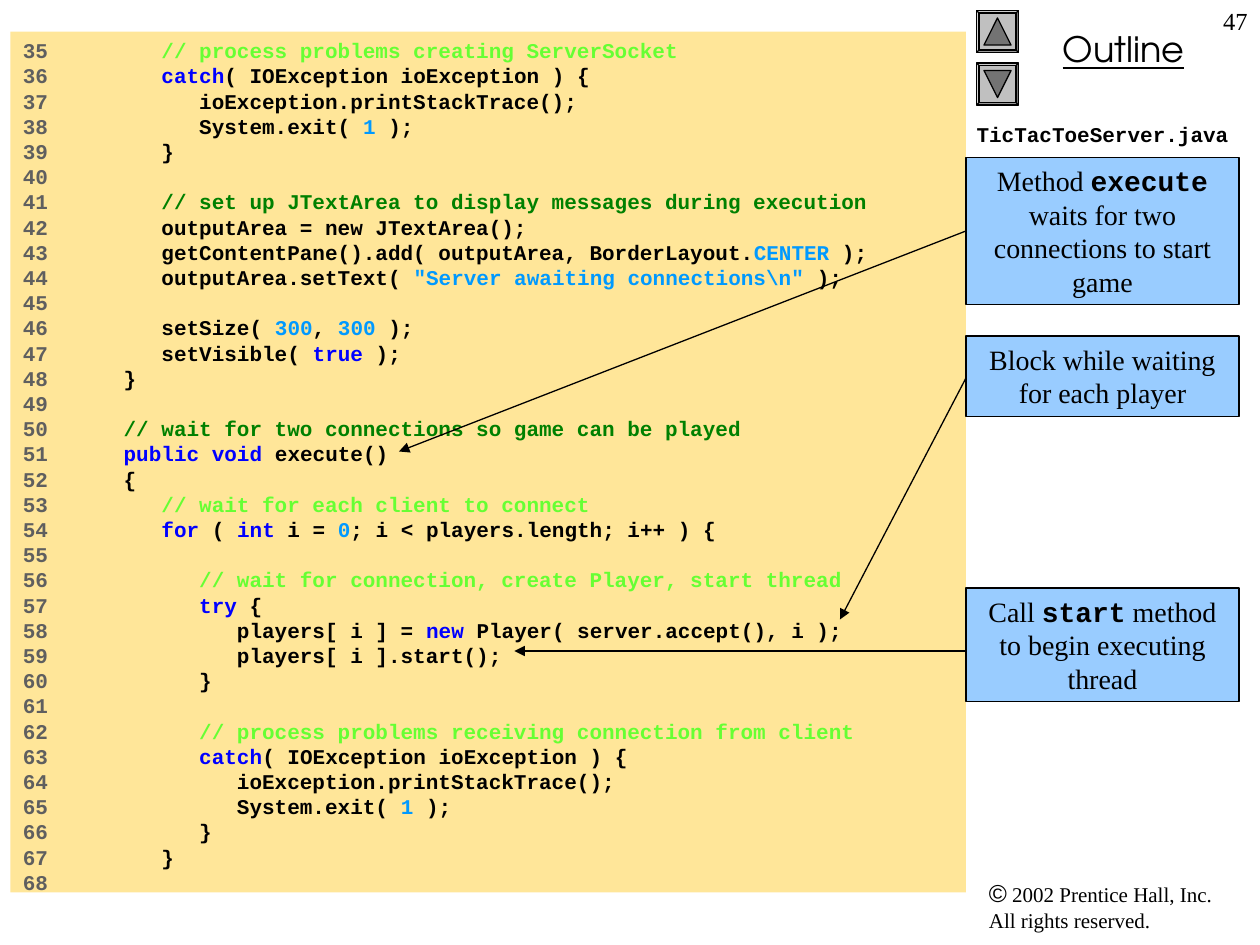
"""Build a code walkthrough slide with callouts for a Tic-Tac-Toe server."""
from lxml import etree
from pptx import Presentation
from pptx.dml.color import RGBColor
from pptx.enum import shapes, text
from pptx.oxml.ns import qn
from pptx.util import Pt

THEME = {
    "fonts": {"serif": "Times New Roman", "code": "Courier New",
              "sans": "Arial", "heading": "TeX Gyre Adventor"},
    "sizes": {"code": 12, "file": 12, "heading": 20, "callout": 16,
              "number": 14, "symbol": 14, "legal": 12},
    "colors": {"plain": "000000", "number": "5F5F5F", "keyword": "0000FF",
               "literal": "0099FF", "comment": "008000", "note": "66FF33",
               "panel": "FFE699", "callout": "99CCFF", "button": "C0C0C0",
               "arrow": "737373"},
    "code_pitch": 14.4,
    "line_width": 0.75,
}

FIRST_LINE = 35
CODE = [
    [("note", "      // process problems creating ServerSocket")],
    [("keyword", "      catch"), ("plain", "( IOException ioException ) {")],
    [("plain", "         ioException.printStackTrace();")],
    [("plain", "         System.exit( "), ("literal", "1"), ("plain", " );")],
    [("plain", "      }")],
    [],
    [("comment", "      // set up JTextArea to display messages during execution")],
    [("plain", "      outputArea = new JTextArea();")],
    [("plain", "      getContentPane().add( outputArea, BorderLayout."),
     ("literal", "CENTER"), ("plain", " );")],
    [("plain", "      outputArea.setText( "),
     ("literal", r'"Server awaiting connections\n"'), ("plain", " );")],
    [],
    [("plain", "      setSize( "), ("literal", "300"), ("plain", ", "),
     ("literal", "300"), ("plain", " );")],
    [("plain", "      setVisible( "), ("keyword", "true"), ("plain", " );")],
    [("plain", "   }")],
    [],
    [("comment", "   // wait for two connections so game can be played")],
    [("keyword", "   public void "), ("plain", "execute()")],
    [("plain", "   {")],
    [("note", "      // wait for each client to connect")],
    [("keyword", "      for"), ("plain", " ( "), ("keyword", "int"), ("plain", " i = "),
     ("literal", "0"), ("plain", "; i < players.length; i++ ) {")],
    [],
    [("note", "         // wait for connection, create Player, start thread")],
    [("keyword", "         try"), ("plain", " {")],
    [("plain", "            players[ i ] = "), ("keyword", "new"),
     ("plain", " Player( server.accept(), i );")],
    [("plain", "            players[ i ].start();")],
    [("plain", "         }")],
    [],
    [("note", "         // process problems receiving connection from client")],
    [("keyword", "         catch"), ("plain", "( IOException ioException ) {")],
    [("plain", "            ioException.printStackTrace();")],
    [("plain", "            System.exit( "), ("literal", "1"), ("plain", " );")],
    [("plain", "         }")],
    [("plain", "      }")],
    [],
]

CALLOUTS = [
    {"top": 90, "height": 84, "arrow": (132, 228, 258),
     "runs": [("serif", "Method "), ("code", "execute"),
              ("serif", " waits for two connections to start game")]},
    {"top": 192, "height": 46, "arrow": (216, 480, 354),
     "runs": [("serif", "Block while waiting for each player")]},
    {"top": 336, "height": 65, "arrow": (372, 294, 372),
     "runs": [("serif", "Call "), ("code", "start"),
              ("serif", " method to begin executing thread")]},
]
CALLOUT_LEFT, CALLOUT_WIDTH = 552, 156

LABELS = [
    {"box": (558, 498, 156, 39), "align": "LEFT",
     "lines": [[("©", "sans", "symbol", {}),
                (" 2002 Prentice Hall, Inc.", "serif", "legal", {})],
               [("All rights reserved.", "serif", "legal", {})]]},
    {"box": (564, 12, 156, 32), "align": "CENTER",
     "lines": [[("Outline", "heading", "heading", {"underline": True})]]},
    {"box": (558, 66, 162, 24), "align": "LEFT", "inset": 0,
     "lines": [[("TicTacToeServer.java", "code", "file", {"bold": True})]]},
    {"box": (684, 0, 36, 36), "align": "RIGHT",
     "lines": [[("47", "serif", "number", {})]]},
]

BUTTON_LEFT, BUTTON_SIZE, ARROW_SIZE = 558, 24, 15.5
BUTTONS = [(6, 0), (36, 180)]


def color(name):
    return RGBColor.from_string(THEME["colors"][name])


def add_run(paragraph, words, font, size, shade="plain", **formats):
    run = paragraph.add_run()
    run.text = words
    formats.update(name=THEME["fonts"][font], size=Pt(THEME["sizes"][size]))
    for attribute, value in formats.items():
        setattr(run.font, attribute, value)
    run.font.color.rgb = color(shade)


def prepare_frame(shape, inset=7.2):
    frame = shape.text_frame
    formats = {"word_wrap": True, "vertical_anchor": text.MSO_ANCHOR.TOP,
               "margin_left": Pt(inset), "margin_right": Pt(7.2),
               "margin_top": Pt(3.6), "margin_bottom": Pt(3.6)}
    for attribute, value in formats.items():
        setattr(frame, attribute, value)
    return frame


def add_block(slide, kind, box, fill, outlined=True):
    shape = slide.shapes.add_shape(kind, *map(Pt, box))
    shape.shadow.inherit = False
    shape.fill.solid()
    shape.fill.fore_color.rgb = color(fill)
    if outlined:
        shape.line.color.rgb = color("plain")
        shape.line.width = Pt(THEME["line_width"])
    else:
        shape.line.fill.background()
    return shape


def add_label(slide, label):
    frame = prepare_frame(slide.shapes.add_textbox(*map(Pt, label["box"])),
                          label.get("inset", 7.2))
    paragraph = frame.paragraphs[0]
    paragraph.alignment = getattr(text.PP_ALIGN, label["align"])
    for index, line in enumerate(label["lines"]):
        if index:
            paragraph.add_line_break()
        for words, font, size, formats in line:
            add_run(paragraph, words, font, size, **formats)


def add_button(slide, top, rotation):
    button = add_block(slide, shapes.MSO_SHAPE.BEVEL,
                       (BUTTON_LEFT, top, BUTTON_SIZE, BUTTON_SIZE), "button")
    button.adjustments[0] = 0.06
    margin = (BUTTON_SIZE - ARROW_SIZE) / 2
    arrow = add_block(slide, shapes.MSO_SHAPE.ISOSCELES_TRIANGLE,
                      (BUTTON_LEFT + margin, top + margin, ARROW_SIZE, ARROW_SIZE), "arrow")
    arrow.rotation = rotation


def add_code(slide):
    panel = add_block(slide, shapes.MSO_SHAPE.RECTANGLE, (6, 18, 546, 492), "panel", False)
    frame = prepare_frame(panel)
    for index, tokens in enumerate(CODE):
        paragraph = frame.add_paragraph() if index else frame.paragraphs[0]
        paragraph.alignment = text.PP_ALIGN.LEFT
        paragraph.line_spacing = Pt(THEME["code_pitch"])
        number = f"{FIRST_LINE + index}" + ("   " if tokens else "")
        for shade, words in [("number", number), *tokens]:
            add_run(paragraph, words, "code", "code", shade, bold=True)


def add_callout(slide, callout):
    box = (CALLOUT_LEFT, callout["top"], CALLOUT_WIDTH, callout["height"])
    shape = add_block(slide, shapes.MSO_SHAPE.RECTANGLE, box, "callout")
    paragraph = prepare_frame(shape).paragraphs[0]
    paragraph.alignment = text.PP_ALIGN.CENTER
    for font, words in callout["runs"]:
        add_run(paragraph, words, font, "callout", bold=font == "code")
    start_y, end_x, end_y = callout["arrow"]
    arrow = slide.shapes.add_connector(shapes.MSO_CONNECTOR.STRAIGHT,
                                       *map(Pt, (CALLOUT_LEFT, start_y, end_x, end_y)))
    arrow.line.color.rgb = color("plain")
    arrow.line.width = Pt(THEME["line_width"])
    properties = arrow.element.spPr
    etree.SubElement(properties.find(qn("a:ln")), qn("a:tailEnd"), type="triangle")
    etree.SubElement(properties, qn("a:effectLst"))


def main():
    presentation = Presentation()
    presentation.slide_width, presentation.slide_height = Pt(720), Pt(540)
    slide = presentation.slides.add_slide(presentation.slide_layouts[6])
    for top, rotation in BUTTONS:
        add_button(slide, top, rotation)
    add_code(slide)
    for label in LABELS:
        add_label(slide, label)
    for callout in CALLOUTS:
        add_callout(slide, callout)
    presentation.save("out.pptx")


if __name__ == "__main__":
    main()
